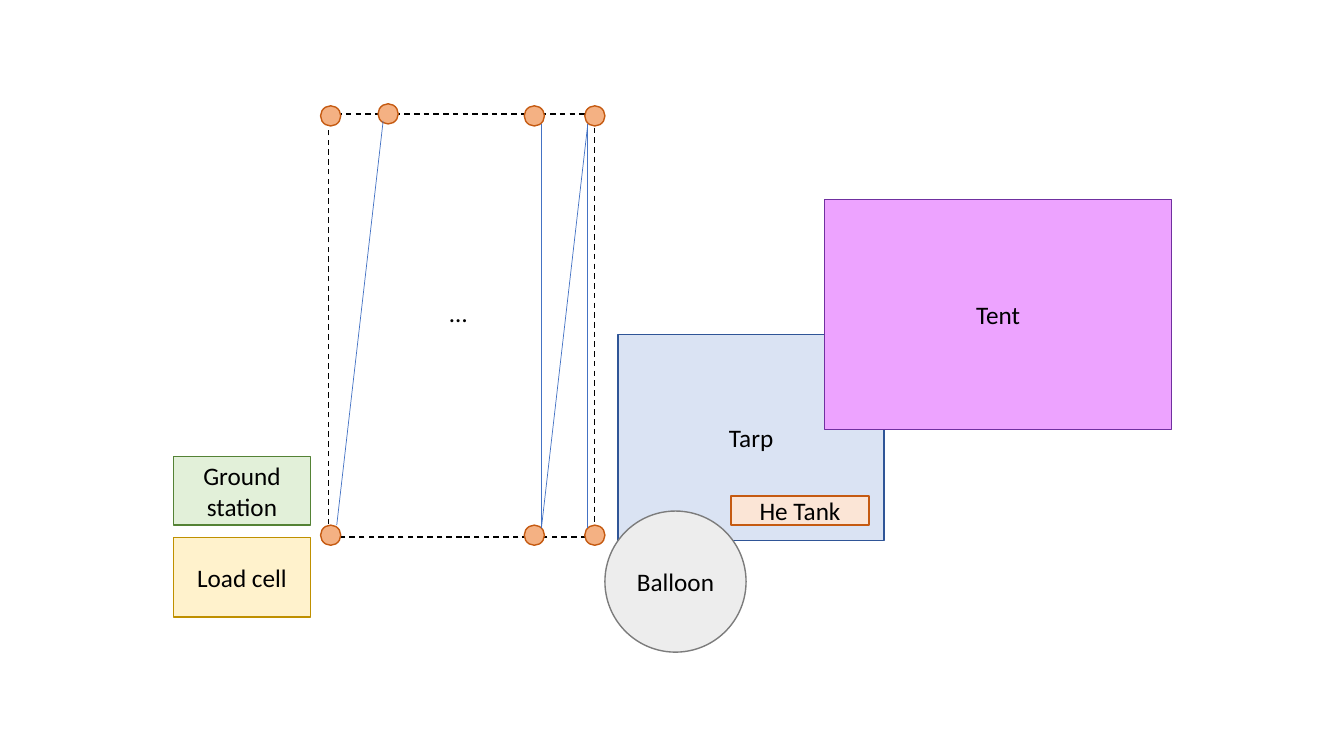
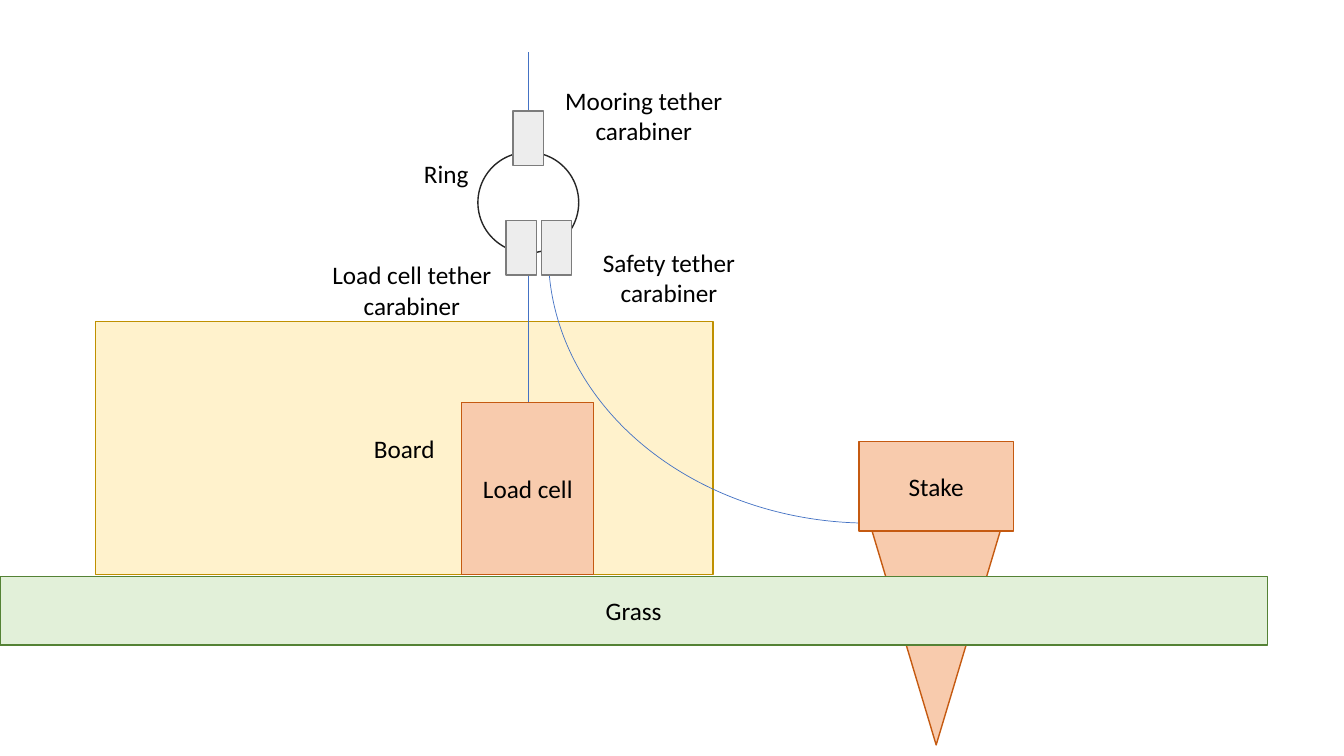
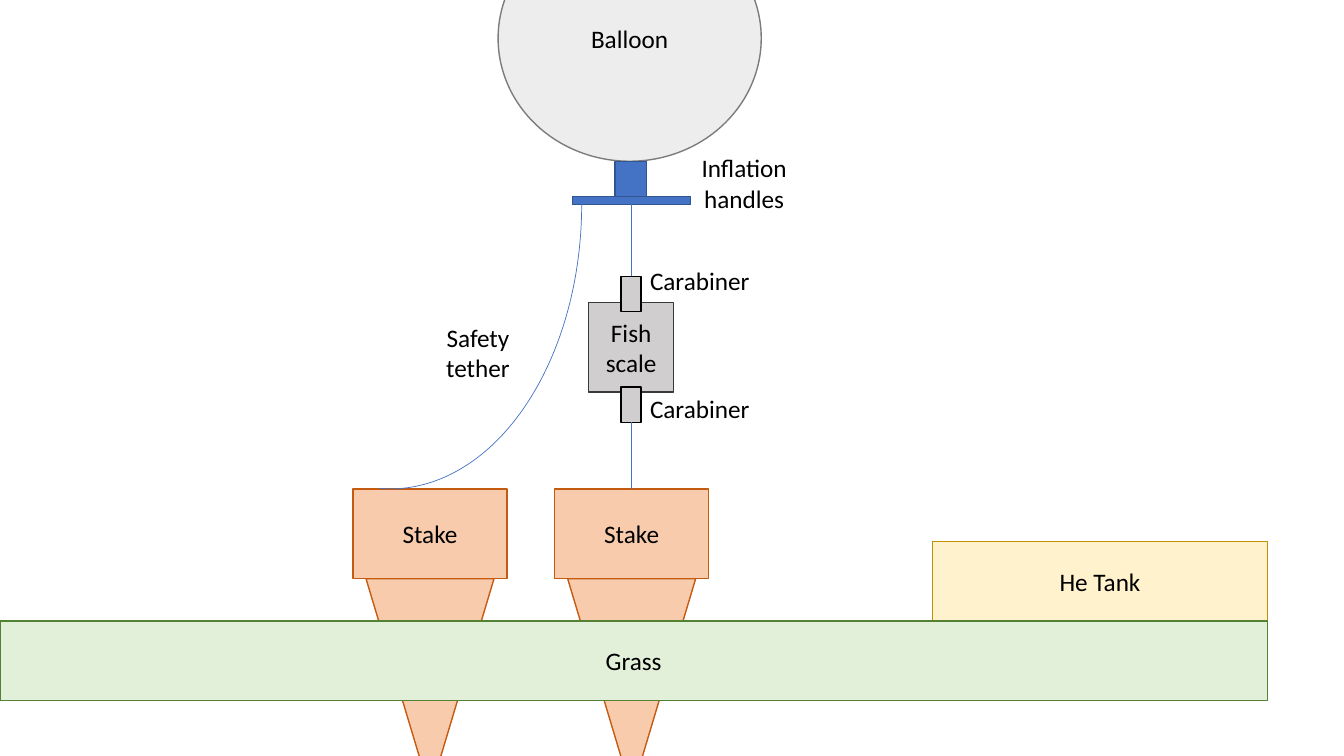
import lxml.etree
import pptx
import pptx.dml.color
import pptx.enum.dml
import pptx.enum.shapes
import pptx.enum.text
import pptx.oxml.ns
import pptx.util

SHAPE = pptx.enum.shapes.MSO_SHAPE

# Fill and line colour of each kind of part
STYLES = {
    "area": (None, "000000"),
    "clear": (None, "FFFFFF"),
    "peg": ("F4B183", "C55A11"),
    "stake": ("F8CBAD", "C55A11"),
    "tank": ("FBE5D6", "C55A11"),
    "yellow": ("FFF2CC", "BF9000"),
    "green": ("E2F0D9", "548235"),
    "tarp": ("DAE3F3", "2F5597"),
    "tent": ("EDA3FF", "7030A0"),
    "grey": ("EDEDED", "7C7C7C"),
    "ring": ("FFFFFF", "262626"),
    "scale": ("D0CECE", "3B3838"),
    "clip": ("D0CECE", "000000"),
    "handle": ("4472C4", "325491"),
}
TETHER = "4472C4"


def rgb(value):
    return pptx.dml.color.RGBColor.from_string(value)


def put_text(sp, text, size=18, font="Calibri", color="000000",
             align=pptx.enum.text.PP_ALIGN.CENTER,
             anchor=pptx.enum.text.MSO_ANCHOR.MIDDLE):
    tf = sp.text_frame
    tf.word_wrap = True
    tf.vertical_anchor = anchor
    p = tf.paragraphs[0]
    p.alignment = align
    r = p.add_run()
    r.text = text
    r.font.size = pptx.util.Pt(size)
    r.font.name = font
    r.font.color.rgb = rgb(color)


class Diagram:
    """Draws on the current slide; lengths are cells of a square grid, 75 rows high."""

    def __init__(self):
        self.prs = pptx.Presentation()
        self.prs.slide_width = pptx.util.Inches(13.33)
        self.prs.slide_height = pptx.util.Inches(7.5)
        self.cell = self.prs.slide_height / 75
        self.s = None

    def new_slide(self):
        self.s = self.prs.slides.add_slide(self.prs.slide_layouts[6])

    def grid(self, *cells):
        return [round(c * self.cell) for c in cells]

    def box(self, x, y, w, h, style, text=None, kind=SHAPE.RECTANGLE):
        fill, line = STYLES[style]
        sp = self.s.shapes.add_shape(kind, *self.grid(x, y, w, h))
        sp.shadow.inherit = False
        if fill:
            sp.fill.solid()
            sp.fill.fore_color.rgb = rgb(fill)
        else:
            sp.fill.background()
        sp.line.color.rgb = rgb(line)
        sp.line.width = pptx.util.Pt(1)
        if text:
            put_text(sp, text)
        return sp

    def oval(self, x, y, w, h, style, text=None):
        return self.box(x, y, w, h, style, text, SHAPE.OVAL)

    def label(self, x, y, w, text, h=7.1):
        put_text(self.s.shapes.add_textbox(*self.grid(x, y, w, h)), text)

    def tether(self, x1, y1, x2, y2):
        c = self.s.shapes.add_connector(
            pptx.enum.shapes.MSO_CONNECTOR.STRAIGHT, *self.grid(x1, y1, x2, y2))
        c.line.color.rgb = rgb(TETHER)
        c.line.width = pptx.util.Pt(0.5)
        lxml.etree.SubElement(c.element.spPr, pptx.oxml.ns.qn("a:effectLst"))

    def slack_tether(self, x, y, w, h, start, end):
        """Arc of an ellipse between two angles in degrees, clockwise from the right."""
        sp = self.box(x, y, w, h, "clear", kind=SHAPE.ARC)
        sp.line.color.rgb = rgb(TETHER)
        sp.line.width = pptx.util.Pt(0.5)
        sp.adjustments[0] = start * 0.6
        sp.adjustments[1] = end * 0.6

    def stake(self, x, y):
        spike = self.box(x + 1.3, y + 8.9, 12.7, 21.2, "stake",
                         kind=SHAPE.ISOSCELES_TRIANGLE)
        spike.rotation = 180
        self.box(x, y, 15.3, 8.9, "stake", "Stake")

    def grass(self, y, h):
        self.box(0, y, 125.7, h, "green", "Grass")


d = Diagram()

# Slide 1: site plan
d.new_slide()
field = d.box(32.6, 11.3, 26.4, 42, "area")
field.line.dash_style = pptx.enum.dml.MSO_LINE.DASH
pegs = [(x, y) for x in (31.8, 52, 58) for y in (10.5, 52.1)] + [(37.5, 10.3)]
for x, y in pegs:
    d.oval(x, y, 2, 2, "peg")
d.box(17.2, 53.3, 13.6, 7.9, "yellow", "Load cell")
d.box(17.2, 45.3, 13.6, 6.8, "green", "Ground station")
d.box(61.3, 33.2, 26.4, 20.4, "tarp", "Tarp")
d.oval(60, 50.7, 14, 14, "grey", "Balloon")
d.box(81.8, 19.8, 34.4, 22.8, "tent", "Tent")
d.box(72.5, 49.2, 13.7, 2.9, "tank", "He Tank")
for bottom, top in ((58.3, 58.3), (53.7, 58.3), (53.7, 53.7)):
    d.tether(bottom, 52.4, top, 12.3)
d.tether(33.4, 52.1, 38, 12)
d.box(39.5, 28.7, 11.9, 4.5, "clear", "…")

# Slide 2: load cell mooring
d.new_slide()
d.box(9.5, 31.9, 61.2, 25.1, "yellow", "Board")
d.box(45.8, 39.9, 13.1, 17.1, "stake", "Load cell")
d.oval(47.4, 15.1, 10, 10, "ring")
d.tether(52.4, 39.9, 52.4, 25.1)
d.tether(52.4, 15.1, 52.4, 5.2)
d.slack_tether(54.4, -1.3, 63.7, 53.2, 87.89, 181.29)
for x, y in ((50.9, 11), (50.2, 21.9), (53.7, 21.9)):
    d.box(x, y, 3, 5.4, "grey")
d.label(40.9, 13.7, 6.7, "Ring")
d.label(54.2, 7.9, 19.3, "Mooring tether carabiner")
d.label(31.2, 25.2, 19.3, "Load cell tether carabiner")
d.label(56.7, 24, 19.3, "Safety tether carabiner")
d.stake(85.2, 43.8)
d.grass(57.2, 6.8)

# Slide 3: lift measurement
d.new_slide()
for x in (35, 55):
    d.stake(x, 48.5)
d.box(92.5, 53.7, 33.2, 7.9, "yellow", "He Tank")
d.box(58.4, 30, 8.4, 8.9, "scale", "Fish scale")
d.grass(61.6, 7.9)
d.oval(49.4, -8.4, 26.1, 24.4, "grey", "Balloon")
d.box(61, 16, 3.1, 4.2, "handle")
d.box(56.8, 19.5, 11.7, 0.8, "handle")
for clip_y, label_y in ((27.4, 24.3), (38.4, 37)):
    d.box(61.6, clip_y, 2, 3.5, "clip")
    d.label(59.8, label_y, 19.2, "Carabiner")
d.tether(62.6, 27.4, 62.6, 19.5)
d.tether(62.6, 48.5, 62.6, 41.9)
d.slack_tether(19.7, -8, 38, 56.5, 359.58, 92.11)
d.label(41, 31.4, 12.8, "Safety tether")
d.label(67.4, 14.6, 12.8, "Inflation handles")

d.prs.save("out.pptx")
